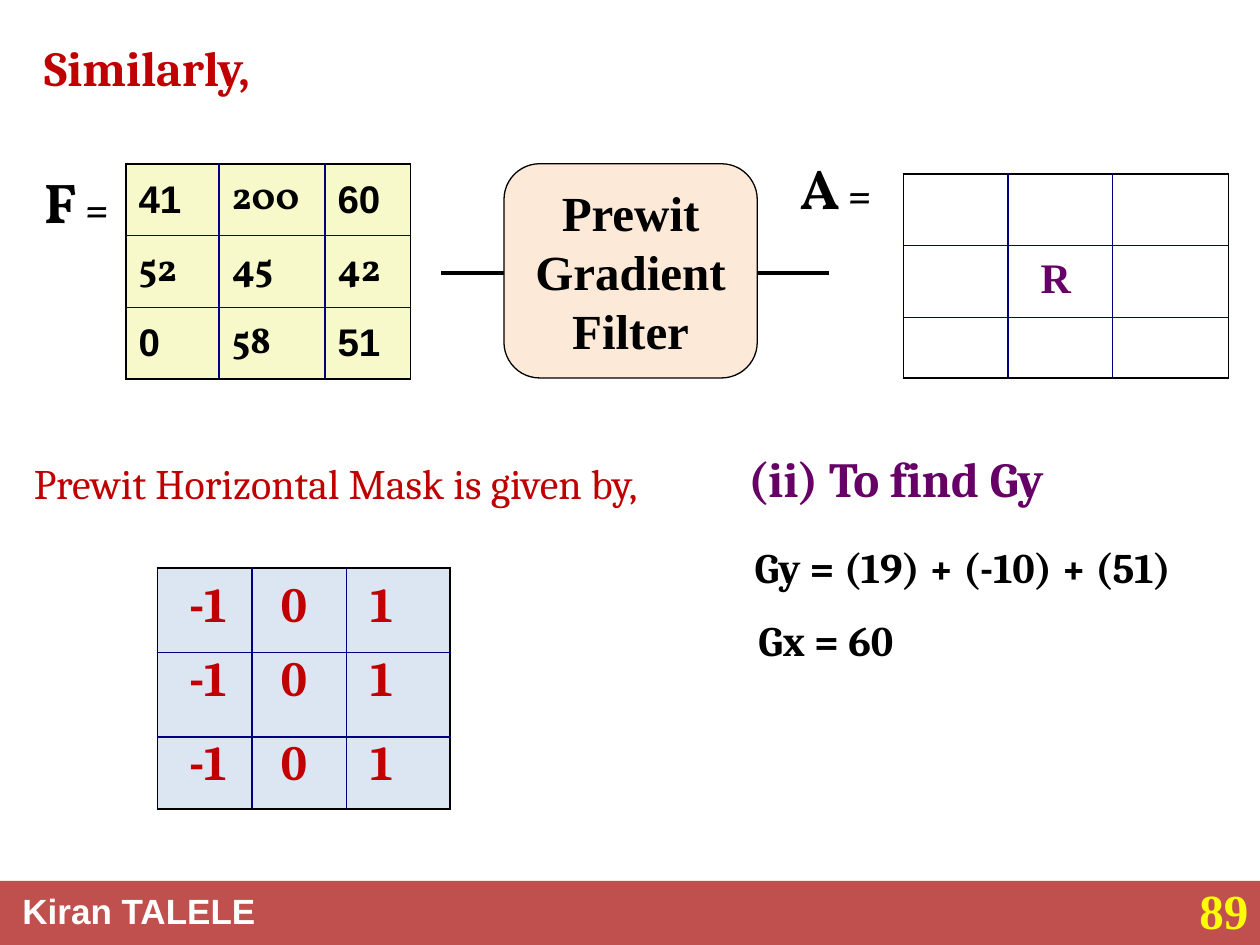
from pptx import Presentation
from pptx.dml.color import RGBColor
from pptx.enum.shapes import MSO_CONNECTOR, MSO_SHAPE
from pptx.enum.text import MSO_ANCHOR, PP_ALIGN
from pptx.oxml.ns import qn
from pptx.util import Inches, Pt
from lxml import etree

RECT, ROUNDED = MSO_SHAPE.RECTANGLE, MSO_SHAPE.ROUNDED_RECTANGLE
STRAIGHT = MSO_CONNECTOR.STRAIGHT
LEFT, CENTER = PP_ALIGN.LEFT, PP_ALIGN.CENTER
TOP, MIDDLE = MSO_ANCHOR.TOP, MSO_ANCHOR.MIDDLE
BLACK, RED, PURPLE, NAVY = "000000", "C00000", "660066", "000080"


def rgb(color):
    return RGBColor.from_string(color)


def style(font, size, name, color, bold=True):
    font.size, font.name, font.bold = Pt(size), name, bold
    font.color.rgb = rgb(color)


def fill_text(s, lines, size, name, color, bold=True, align=LEFT, anchor=TOP):
    tf = s.text_frame
    tf.word_wrap, tf.vertical_anchor = True, anchor
    tf.text = lines
    for p in tf.paragraphs:
        p.alignment = align
        style(p.font, size, name, color, bold)
    return tf


def add_text(slide, box, text, size, name, color, **options):
    s = slide.shapes.add_textbox(*map(Inches, box))
    return fill_text(s, text, size, name, color, **options)


def add_block(slide, kind, box, fill, line=None):
    s = slide.shapes.add_shape(kind, *map(Inches, box))
    s.shadow.inherit = False
    s.fill.solid()
    s.fill.fore_color.rgb = rgb(fill)
    if line:
        s.line.color.rgb = rgb(line)
        s.line.width = Pt(0.75)
    else:
        s.line.fill.background()
    return s


def add_line(slide, x1, x2, y):
    c = slide.shapes.add_connector(STRAIGHT, *map(Inches, (x1, y, x2, y)))
    c.line.color.rgb = rgb(BLACK)
    c.line.width = Pt(2.25)
    etree.SubElement(c._element.spPr, qn("a:effectLst"))


def set_borders(cell, colors):
    tc_pr = cell._tc.get_or_add_tcPr()
    for side, color in zip("LRTB", colors):
        ln = etree.SubElement(tc_pr, qn("a:ln" + side), w=str(Pt(1)))
        fill = etree.SubElement(ln, qn("a:solidFill"))
        etree.SubElement(fill, qn("a:srgbClr"), val=color)


def add_grid(slide, left, top, widths, heights, fill=None):
    """Table with a black outer frame and navy inner rules."""
    rows, cols = len(heights), len(widths)
    size = map(Inches, (left, top, sum(widths), sum(heights)))
    table = slide.shapes.add_table(rows, cols, *size).table
    table.first_row = table.horz_banding = False
    for col, width in zip(table.columns, widths):
        col.width = Inches(width)
    for row, height in zip(table.rows, heights):
        row.height = Inches(height)
    for i in range(rows):
        for j in range(cols):
            cell = table.cell(i, j)
            outer = (j == 0, j == cols - 1, i == 0, i == rows - 1)
            set_borders(cell, [BLACK if edge else NAVY for edge in outer])
            if fill:
                cell.fill.solid()
                cell.fill.fore_color.rgb = rgb(fill)
            else:
                cell.fill.background()
    return table


def add_symbol(slide, left, top, letter):
    tf = add_text(slide, (left, top, 1, 0.64), letter, 32, "Vollkorn", BLACK)
    r = tf.paragraphs[0].add_run()
    r.text = " ="
    r.font.size = Pt(24)


def add_mask_row(slide, top, values):
    tf = add_text(slide, (1.25, top, 2.32, 0.57), "", 28, "Cambria", RED)
    tf.margin_left = Inches(0.25)
    p = tf.paragraphs[0]
    p.text = "\t".join(values)
    p_pr = p._p.get_or_add_pPr()
    tabs = etree.Element(qn("a:tabLst"))
    for pos in (0.73, 1.44):
        etree.SubElement(tabs, qn("a:tab"), pos=str(Inches(pos)), algn="l")
    p_pr.insert(0, tabs)


def add_footer(slide):
    add_block(slide, RECT, (0, 6.99, 10, 0.51), "C0504D")
    add_text(slide, (0.08, 7.01, 2.1, 0.44), "Kiran TALELE", 20, "Arial", "FFFFFF")
    add_text(slide, (9.42, 6.94, 0.92, 0.61), "89", 28, "Times New Roman", "FFFF00")


def add_input_table(slide):
    values = (("41", "200", "60"), ("52", "45", "42"), ("0", "58", "51"))
    arial = {"41", "60", "0", "51"}
    table = add_grid(slide, 1, 1.3, (0.74, 0.84, 0.68), (0.57,) * 3, "F7F9CB")
    for i, row in enumerate(values):
        for j, value in enumerate(row):
            cell = table.cell(i, j)
            cell.text, cell.vertical_anchor = value, MIDDLE
            name = "Arial" if value in arial else "Vollkorn"
            style(cell.text_frame.paragraphs[0].font, 22, name, BLACK)


def main():
    prs = Presentation()
    prs.slide_width, prs.slide_height = Inches(10), Inches(7.5)
    slide = prs.slides.add_slide(prs.slide_layouts[5])
    add_footer(slide)

    # Title
    title = slide.shapes.title
    title.left, title.top, title.width, title.height = map(
        Inches, (0.25, 0.25, 9, 0.57))
    fill_text(title, "Similarly,", 28, "Cambria", RED)

    # Filter with its input and output lines
    add_line(slide, 3.5, 4.15, 2.17)
    s = add_block(slide, ROUNDED, (4, 1.3, 2.01, 1.7), "FDE9D8", BLACK)
    fill_text(s, "Prewit Gradient\nFilter", 28, "Times New Roman", BLACK,
              align=CENTER, anchor=MIDDLE)
    add_line(slide, 6.01, 6.58, 2.17)

    # Input F and output A
    add_input_table(slide)
    add_grid(slide, 7.17, 1.38, (0.83, 0.83, 0.92), (0.57, 0.57, 0.48))
    add_symbol(slide, 0.25, 1.28, "F")
    add_symbol(slide, 6.25, 1.17, "A")
    add_text(slide, (7.83, 1.95, 1.1, 0.51), "R", 24, "Times New Roman", PURPLE,
             align=CENTER)

    # Gradient calculation
    add_text(slide, (5.84, 3.51, 4.16, 0.57), "(ii) To find Gy", 28, "Cambria", PURPLE)
    add_text(slide, (0.17, 3.58, 5.27, 0.51), "Prewit Horizontal Mask is given by,",
             24, "Cambria", RED, bold=False)
    add_text(slide, (5.89, 4.25, 4.11, 0.51), "Gy = (19) + (-10) + (51)",
             24, "Cambria", BLACK)
    add_text(slide, (5.92, 4.83, 4.11, 0.51), "Gx = 60", 24, "Cambria", BLACK)

    # Horizontal mask
    add_grid(slide, 1.25, 4.51, (0.75, 0.75, 0.82), (0.67, 0.67, 0.57), "DCE6F2")
    for top in (4.5, 5.09, 5.76):
        add_mask_row(slide, top, ("-1", "0", "1"))

    prs.save("out.pptx")


if __name__ == "__main__":
    main()
